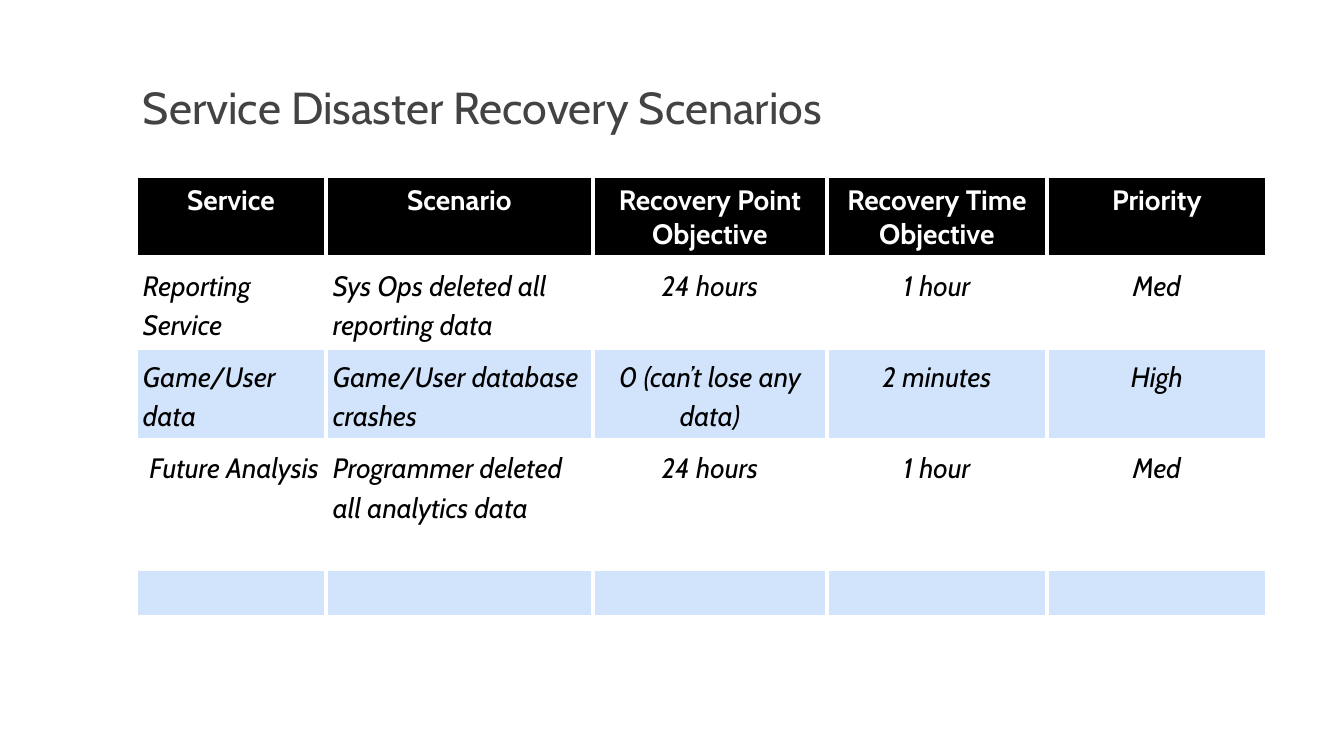
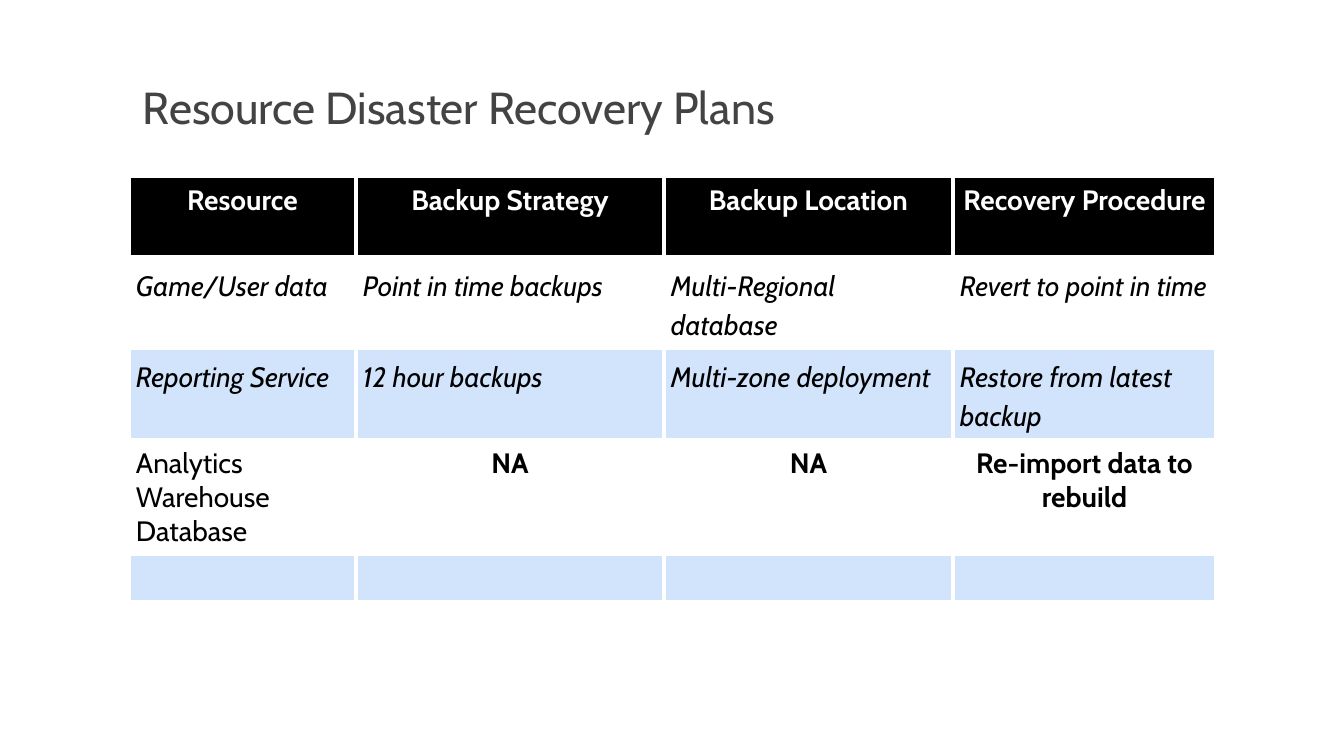
from dataclasses import dataclass

from lxml import etree
from pptx import Presentation
from pptx.dml.color import RGBColor
from pptx.enum.text import PP_ALIGN
from pptx.oxml.ns import qn
from pptx.util import Pt

LEFT, CENTER = PP_ALIGN.LEFT, PP_ALIGN.CENTER

SLIDE_SIZE = (1344, 756)
EMU_PER_PX = 12192000 / 1344
TITLE_BOX = (136, 79, 1075, 79)
TABLE_TOP = 176
INSET = 7


@dataclass(frozen=True)
class Theme:
    font: str = "Cabin"
    title_size: int = 32
    table_size: int = 20
    border_width: int = 3
    title_spacing: float = 0.9
    white: str = "FFFFFF"
    black: str = "000000"
    title_color: str = "434343"
    band: str = "D2E3FC"


THEME = Theme()


@dataclass(frozen=True)
class CellStyle:
    color: str = THEME.black
    bold: bool = False
    italic: bool = False
    spacing: float = 1.0


HEADER = CellStyle(color=THEME.white, bold=True)
ENTRY = CellStyle(italic=True, spacing=1.15)
PLAIN = CellStyle()
STRONG = CellStyle(bold=True)

# Content: each row is (height, fill, styles, alignments, texts)
SCENARIO_ALIGN = [LEFT] * 2 + [CENTER] * 3
SLIDES = [
    {
        "title": "Service Disaster Recovery Scenarios",
        "left": 136,
        "columns": [190, 267, 234, 220, 220],
        "rows": [
            (81, THEME.black, [HEADER] * 5, [CENTER] * 5,
             ["Service", "Scenario", "Recovery Point Objective",
              "Recovery Time Objective", "Priority"]),
            (91, THEME.white, [ENTRY] * 5, SCENARIO_ALIGN,
             ["Reporting Service", "Sys Ops deleted all reporting data",
              "24 hours", "1 hour", "Med"]),
            (91, THEME.band, [ENTRY] * 5, SCENARIO_ALIGN,
             ["Game/User data", "Game/User database crashes",
              "0 (can’t lose any data)", "2 minutes", "High"]),
            (129, THEME.white, [ENTRY] * 5, SCENARIO_ALIGN,
             [" Future Analysis", "Programmer deleted all analytics data",
              "24 hours", "1 hour", "Med"]),
            (47, THEME.band, [PLAIN] * 5, SCENARIO_ALIGN, [""] * 5),
            (47, THEME.white, [PLAIN] * 5, SCENARIO_ALIGN, [""] * 5),
        ],
    },
    {
        "title": "Resource Disaster Recovery Plans",
        "left": 129,
        "columns": [227, 308, 289, 263],
        "rows": [
            (81, THEME.black, [HEADER] * 4, [CENTER] * 4,
             ["Resource", "Backup Strategy", "Backup Location",
              "Recovery Procedure"]),
            (91, THEME.white, [ENTRY] * 4, [LEFT] * 4,
             ["Game/User data", "Point in time backups",
              "Multi-Regional database", "Revert to point in time"]),
            (91, THEME.band, [ENTRY] * 4, [LEFT] * 4,
             ["Reporting Service", "12 hour backups",
              "Multi-zone deployment", "Restore from latest backup"]),
            (114, THEME.white, [PLAIN] + [STRONG] * 3, [LEFT] + [CENTER] * 3,
             ["Analytics Warehouse Database", "NA", "NA",
              "Re-import data to rebuild"]),
            (47, THEME.band, [PLAIN] * 4, [LEFT] * 4, [""] * 4),
            (47, THEME.white, [PLAIN] * 4, [LEFT] * 4, [""] * 4),
        ],
    },
]


def px(length):
    return round(length * EMU_PER_PX)


def set_insets(target):
    target.margin_left = target.margin_right = px(INSET)
    target.margin_top = target.margin_bottom = px(INSET)


def style_paragraph(paragraph, size, color, spacing, bold=False, italic=False):
    paragraph.line_spacing = spacing
    font = paragraph.font
    font.name, font.size = THEME.font, Pt(size)
    font.bold, font.italic = bold, italic
    font.color.rgb = RGBColor.from_string(color)


def add_title(slide, text):
    frame = slide.shapes.add_textbox(*map(px, TITLE_BOX)).text_frame
    frame.word_wrap = True
    set_insets(frame)
    frame.text = text
    style_paragraph(frame.paragraphs[0], THEME.title_size, THEME.title_color,
                    THEME.title_spacing)


def add_borders(cell):
    properties = cell._tc.get_or_add_tcPr()
    for position, side in enumerate(("lnL", "lnR", "lnT", "lnB")):
        line = etree.Element(qn(f"a:{side}"), w=str(Pt(THEME.border_width)))
        fill = etree.SubElement(line, qn("a:solidFill"))
        etree.SubElement(fill, qn("a:srgbClr"), val=THEME.white)
        properties.insert(position, line)


def fill_cell(cell, text, style, alignment, fill):
    set_insets(cell)
    cell.fill.solid()
    cell.fill.fore_color.rgb = RGBColor.from_string(fill)
    add_borders(cell)
    cell.text = text
    paragraph = cell.text_frame.paragraphs[0]
    paragraph.alignment = alignment
    style_paragraph(paragraph, THEME.table_size, style.color, style.spacing,
                    style.bold, style.italic)


def add_recovery_table(slide, left, columns, rows):
    height = sum(row[0] for row in rows)
    table = slide.shapes.add_table(
        len(rows), len(columns), px(left), px(TABLE_TOP),
        px(sum(columns)), px(height)).table
    table.first_row = table.horz_banding = False
    for column, width in zip(table.columns, columns):
        column.width = px(width)
    for table_row, (row_height, fill, *cell_lists) in zip(table.rows, rows):
        table_row.height = px(row_height)
        for cell, style, alignment, text in zip(table_row.cells, *cell_lists):
            fill_cell(cell, text, style, alignment, fill)


def main():
    presentation = Presentation()
    presentation.slide_width, presentation.slide_height = map(px, SLIDE_SIZE)
    blank_layout = presentation.slide_layouts[6]
    for content in SLIDES:
        slide = presentation.slides.add_slide(blank_layout)
        background = slide.background.fill
        background.solid()
        background.fore_color.rgb = RGBColor.from_string(THEME.white)
        add_title(slide, content["title"])
        add_recovery_table(slide, content["left"], content["columns"],
                           content["rows"])
    presentation.save("out.pptx")


if __name__ == "__main__":
    main()
